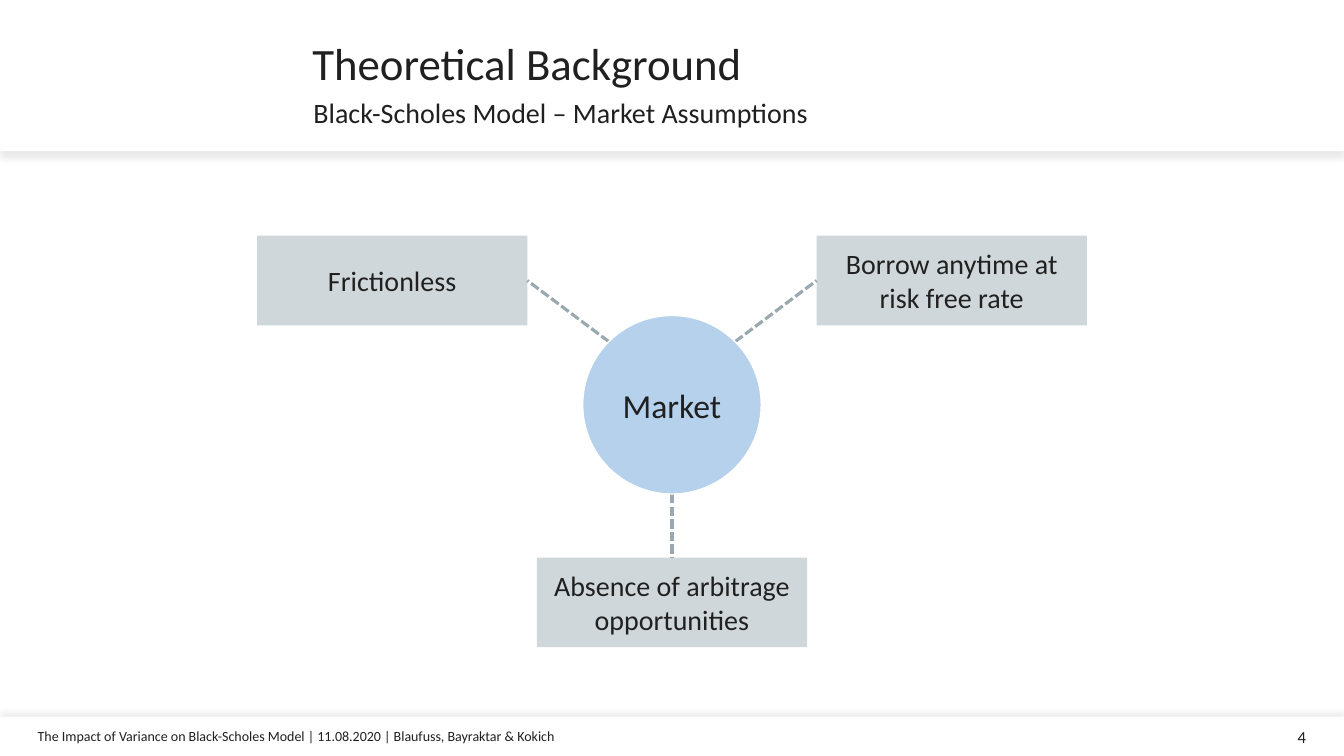
from math import sqrt

from lxml.etree import SubElement
from pptx import Presentation
from pptx.dml.color import RGBColor
from pptx.enum.dml import MSO_LINE
from pptx.enum.shapes import MSO_CONNECTOR, MSO_SHAPE
from pptx.enum.text import MSO_ANCHOR, PP_ALIGN
from pptx.oxml.ns import qn
from pptx.util import Cm, Pt

TITLE = "Theoretical Background"
SUBTITLE = "Black-Scholes Model – Market Assumptions"
FOOTER = "The Impact of Variance on Black-Scholes Model | 11.08.2020 | Blaufuss, Bayraktar & Kokich"
PAGE_NUMBER = "4"
HUB = "Market"
ASSUMPTIONS = [
    ("Borrow anytime at risk free rate", 1, -1),
    ("Absence of arbitrage opportunities", 0, 1),
    ("Frictionless", -1, -1),
]

FONT = "Calibri"
INK, WHITE, GREY, LINE_GREY, BLUE = "202020", "FFFFFF", "D0D7DA", "9AA9B0", "B5D1EC"

WIDTH, HEIGHT = 33.87, 19.05
HEADER_HEIGHT, FOOTER_HEIGHT = 3.81, 0.99
FOOTER_TOP = HEIGHT - FOOTER_HEIGHT
MARGIN, TITLE_LEFT = 0.95, 7.87
TEXT_RIGHT = WIDTH - MARGIN
HUB_X, HUB_Y, HUB_RADIUS = WIDTH / 2, 10.2, 2.25
BOX_WIDTH, BOX_HEIGHT = 6.81, 2.26
SIDE_OFFSET = 7.05
UPPER_Y, LOWER_Y = 7.07, 15.18


def color(value):
    return RGBColor.from_string(value)


def write(shape, text, size, align=PP_ALIGN.LEFT, anchor=MSO_ANCHOR.MIDDLE,
          side_inset=0, top_inset=0, wrap=True):
    frame = shape.text_frame
    frame.word_wrap = wrap
    frame.vertical_anchor = anchor
    frame.margin_left = frame.margin_right = Cm(side_inset)
    frame.margin_top = frame.margin_bottom = Cm(top_inset)
    paragraph = frame.paragraphs[0]
    paragraph.alignment = align
    run = paragraph.add_run()
    run.text = text
    run.font.name = FONT
    run.font.size = Pt(size)
    run.font.color.rgb = color(INK)
    return paragraph


def add_text(left, top, width, height, text, size, **layout):
    box = slide.shapes.add_textbox(Cm(left), Cm(top), Cm(width), Cm(height))
    return write(box, text, size, **layout)


def add_filled(kind, left, top, width, height, fill):
    shape = slide.shapes.add_shape(kind, Cm(left), Cm(top), Cm(width), Cm(height))
    shape.shadow.inherit = False
    shape.fill.solid()
    shape.fill.fore_color.rgb = color(fill)
    shape.line.fill.background()
    return shape


def add_band(top, height, shadow_angle):
    band = add_filled(MSO_SHAPE.RECTANGLE, 0, top, WIDTH, height, WHITE)
    effects = band._element.spPr.find(qn("a:effectLst"))
    shadow = SubElement(effects, qn("a:outerShdw"), blurRad=str(Pt(5)), dist=str(Pt(3)),
                        dir=str(shadow_angle * 60000), algn="ctr", rotWithShape="0")
    tint = SubElement(shadow, qn("a:srgbClr"), val=INK)
    SubElement(tint, qn("a:alpha"), val="10000")


def add_dashed_line(start, end):
    points = [Cm(value) for value in (*start, *end)]
    connector = slide.shapes.add_connector(MSO_CONNECTOR.STRAIGHT, *points)
    connector.line.color.rgb = color(LINE_GREY)
    connector.line.width = Pt(2.25)
    connector.line.dash_style = MSO_LINE.SQUARE_DOT
    SubElement(connector._element.spPr, qn("a:effectLst"))


presentation = Presentation()
presentation.slide_width, presentation.slide_height = Cm(WIDTH), Cm(HEIGHT)
slide = presentation.slides.add_slide(presentation.slide_layouts[6])

add_band(FOOTER_TOP, FOOTER_HEIGHT, 270)
add_band(0, HEADER_HEIGHT, 90)
add_text(MARGIN, FOOTER_TOP, 21.3, FOOTER_HEIGHT, FOOTER, 10, wrap=False)
add_text(TEXT_RIGHT - 7.85, FOOTER_TOP, 7.85, FOOTER_HEIGHT, PAGE_NUMBER, 12,
         align=PP_ALIGN.RIGHT, wrap=False)
title = add_text(TITLE_LEFT, 0.91, TEXT_RIGHT - TITLE_LEFT, 1.5, TITLE, 32)
title.line_spacing = 0.9
title.space_before = Pt(10)
add_text(TITLE_LEFT, 2.41, TEXT_RIGHT - TITLE_LEFT, 0.84, SUBTITLE, 20,
         anchor=MSO_ANCHOR.TOP, side_inset=0.03)

for text, side, level in ASSUMPTIONS:
    x = HUB_X + side * SIDE_OFFSET
    y = UPPER_Y if level < 0 else LOWER_Y
    box = add_filled(MSO_SHAPE.RECTANGLE, x - BOX_WIDTH / 2, y - BOX_HEIGHT / 2,
                     BOX_WIDTH, BOX_HEIGHT, GREY)
    write(box, text, 20, align=PP_ALIGN.CENTER, side_inset=0.25, top_inset=0.13)
    reach = HUB_RADIUS / sqrt(side ** 2 + level ** 2)
    hub_edge = (HUB_X + side * reach, HUB_Y + level * reach)
    box_edge = (x - side * BOX_WIDTH / 2, y if side else y - BOX_HEIGHT / 2)
    add_dashed_line(hub_edge, box_edge)

hub = add_filled(MSO_SHAPE.OVAL, HUB_X - HUB_RADIUS, HUB_Y - HUB_RADIUS,
                 2 * HUB_RADIUS, 2 * HUB_RADIUS, BLUE)
hub.line.color.rgb = color(WHITE)
hub.line.width = Pt(1)
write(hub, HUB, 24, align=PP_ALIGN.CENTER, side_inset=0.1, top_inset=0.1)

presentation.save("out.pptx")
